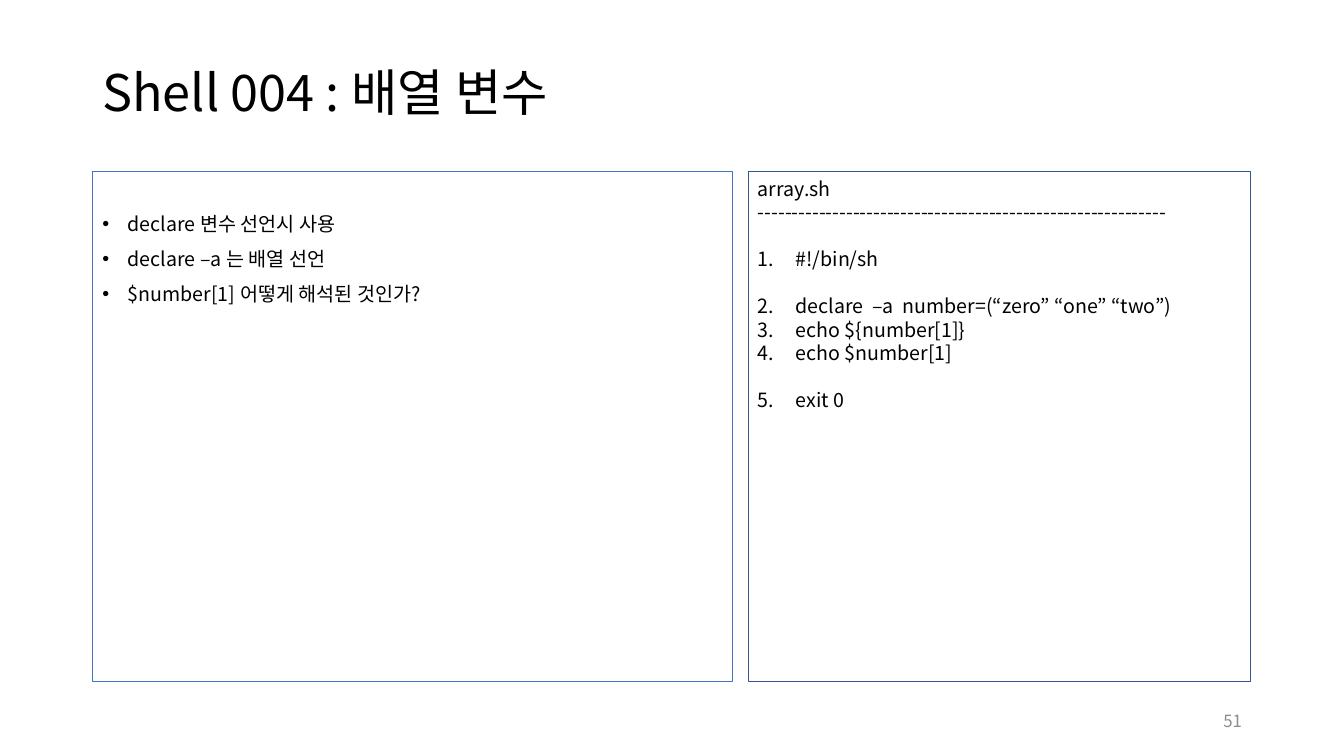
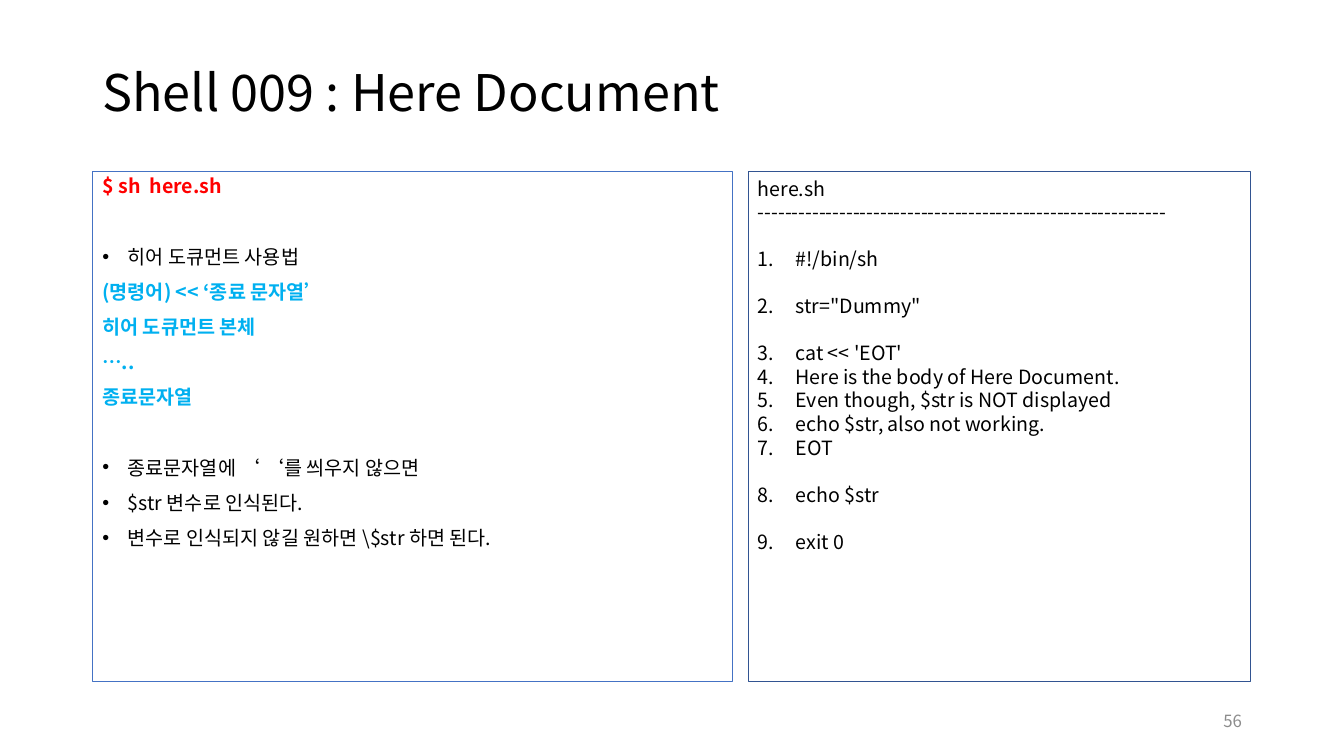
from dataclasses import dataclass
from enum import Enum

from lxml.etree import SubElement
from pptx import Presentation
from pptx.dml.color import RGBColor
from pptx.enum.shapes import MSO_SHAPE as Preset
from pptx.enum.text import MSO_ANCHOR as Anchor, MSO_AUTO_SIZE as AutoSize, PP_ALIGN as Align
from pptx.oxml.ns import qn
from pptx.util import Cm, Length, Pt

FONT = "Noto Sans CJK KR"
BLACK = RGBColor(0x00, 0x00, 0x00)
RED = RGBColor(0xFF, 0x00, 0x00)
SKY = RGBColor(0x00, 0xB0, 0xF0)
GREY = RGBColor(0x8C, 0x8C, 0x8C)
POINTS_BORDER = RGBColor(0x44, 0x72, 0xC4)
SCRIPT_BORDER = RGBColor(0x32, 0x54, 0x91)

LEFT = Cm(2.33)
PANEL_TOP, PANEL_HEIGHT = Cm(4.32), Cm(12.85)
INSET_TOP = Cm(0.13)
TEXT_SIZE = Pt(14)
TITLE_PITCH, POINT_PITCH, SCRIPT_PITCH = Pt(43), Pt(15.1), Pt(16.8)
POINT_GAP = Pt(10)
RULE = "-" * 60


class Marker(Enum):
    """Kind of mark in front of a line."""

    NONE = "buNone"
    BULLET = "buChar"
    NUMBER = "buAutoNum"


MARKER_ATTRIBUTES = {
    Marker.NONE: {},
    Marker.BULLET: {"char": "•"},
    Marker.NUMBER: {"type": "arabicPeriod"},
}
MARKER_INDENTS = {Marker.NONE: Cm(0), Marker.BULLET: Cm(0.64), Marker.NUMBER: Cm(0.95)}


@dataclass(frozen=True)
class Line:
    """One line of text; apart leaves one line free above it."""

    text: str
    marker: Marker = Marker.BULLET
    apart: bool = False
    color: RGBColor = BLACK
    bold: bool = False


@dataclass(frozen=True)
class Lesson:
    """Content of one slide; each command block is set apart from the one before."""

    title: str
    number: int
    points: list[Line]
    script: str
    blocks: list[list[str]]
    points_inset: Length = INSET_TOP


def syntax(text: str) -> Line:
    """Return a highlighted line of the syntax pattern."""
    return Line(text, Marker.NONE, color=SKY, bold=True)


LESSONS = [
    Lesson(
        "Shell 004 : 배열 변수",
        51,
        [
            Line("declare 변수 선언시 사용"),
            Line("declare –a 는 배열 선언"),
            Line("$number[1] 어떻게 해석된 것인가?"),
        ],
        "array.sh",
        [
            ["#!/bin/sh"],
            ["declare  –a  number=(“zero” “one” “two”)", "echo ${number[1]}", "echo $number[1]"],
            ["exit 0"],
        ],
        points_inset=Cm(1.08),
    ),
    Lesson(
        "Shell 009 : Here Document",
        56,
        [
            Line("$ sh  here.sh", Marker.NONE, color=RED, bold=True),
            Line("히어 도큐먼트 사용법", apart=True),
            syntax("(명령어) << ‘종료 문자열’"),
            syntax("히어 도큐먼트 본체"),
            syntax("….."),
            syntax("종료문자열"),
            Line("종료문자열에 ‘ ‘를 씌우지 않으면", apart=True),
            Line("$str 변수로 인식된다."),
            Line("변수로 인식되지 않길 원하면 \\$str 하면 된다."),
        ],
        "here.sh",
        [
            ["#!/bin/sh"],
            ['str="Dummy"'],
            [
                "cat << 'EOT'",
                "Here is the body of Here Document.",
                "Even though, $str is NOT displayed",
                "echo $str, also not working.",
                "EOT",
            ],
            ["echo $str"],
            ["exit 0"],
        ],
    ),
]


def place(shape, left: Length, top: Length, width: Length, height: Length) -> None:
    """Move and size a shape."""
    shape.left, shape.top, shape.width, shape.height = left, top, width, height


def prepare_frame(frame, anchor: Anchor, inset_top: Length = INSET_TOP) -> None:
    """Give a text frame its anchor, insets and wrapping."""
    frame.word_wrap = True
    frame.auto_size = AutoSize.NONE
    frame.vertical_anchor = anchor
    frame.margin_left = frame.margin_right = Cm(0.25)
    frame.margin_top, frame.margin_bottom = inset_top, INSET_TOP


def add_text(paragraph, text: str, size: Length, color: RGBColor, bold: bool = False) -> None:
    """Add one formatted run to a paragraph."""
    run = paragraph.add_run()
    run.text = text
    run.font.size, run.font.bold = size, bold
    run.font.color.rgb = color
    run.font.name = FONT
    SubElement(run._r.get_or_add_rPr(), qn("a:ea"), typeface=FONT)


def add_lines(frame, lines: list[Line], pitch: Length, gap: Length) -> None:
    """Write lines at a fixed pitch with a gap before each but the first."""
    for index, line in enumerate(lines):
        paragraph = frame.add_paragraph() if index else frame.paragraphs[0]
        properties = paragraph._p.get_or_add_pPr()
        indent = MARKER_INDENTS[line.marker]
        properties.set("marL", str(indent))
        properties.set("indent", str(-indent))
        SubElement(properties, qn(f"a:{line.marker.value}"), MARKER_ATTRIBUTES[line.marker])
        paragraph.alignment = Align.LEFT
        paragraph.line_spacing = pitch
        blank = pitch + gap if line.apart else 0
        paragraph.space_before = Length(gap + blank) if index else Pt(0)
        add_text(paragraph, line.text, TEXT_SIZE, line.color, line.bold)


def fill_title(title, text: str) -> None:
    """Place and write the slide title."""
    place(title, LEFT, Cm(1.02), Cm(29.21), Cm(2.56))
    prepare_frame(title.text_frame, Anchor.MIDDLE)
    paragraph = title.text_frame.paragraphs[0]
    paragraph.alignment = Align.LEFT
    paragraph.line_spacing = TITLE_PITCH
    add_text(paragraph, text, Pt(36), BLACK)


def fill_points(body, lesson: Lesson) -> None:
    """Place and write the framed explanation."""
    place(body, LEFT, PANEL_TOP, Cm(16.13), PANEL_HEIGHT)
    body.line.color.rgb, body.line.width = POINTS_BORDER, Pt(0.75)
    prepare_frame(body.text_frame, Anchor.TOP, lesson.points_inset)
    add_lines(body.text_frame, lesson.points, POINT_PITCH, POINT_GAP)


def add_script(slide, lesson: Lesson) -> None:
    """Draw the panel with the numbered script."""
    panel = slide.shapes.add_shape(
        Preset.RECTANGLE, Cm(18.85), PANEL_TOP, Cm(12.67), PANEL_HEIGHT
    )
    panel.shadow.inherit = False
    panel.fill.background()
    panel.line.color.rgb, panel.line.width = SCRIPT_BORDER, Pt(0.25)
    prepare_frame(panel.text_frame, Anchor.TOP)
    heading = [Line(lesson.script, Marker.NONE), Line(RULE, Marker.NONE)]
    commands = [
        Line(command, Marker.NUMBER, apart=position == 0)
        for block in lesson.blocks
        for position, command in enumerate(block)
    ]
    add_lines(panel.text_frame, heading + commands, SCRIPT_PITCH, Pt(0))


def add_page_number(slide, number: int) -> None:
    """Write the page number at the lower right."""
    footer = slide.shapes.add_textbox(Cm(23.93), Cm(17.65), Cm(7.62), Cm(1.02))
    prepare_frame(footer.text_frame, Anchor.MIDDLE)
    paragraph = footer.text_frame.paragraphs[0]
    paragraph.alignment = Align.RIGHT
    add_text(paragraph, str(number), Pt(12), GREY)


def add_lesson(deck, lesson: Lesson) -> None:
    """Add one complete lesson slide."""
    slide = deck.slides.add_slide(deck.slide_layouts[1])
    fill_title(slide.shapes.title, lesson.title)
    fill_points(slide.placeholders[1], lesson)
    add_page_number(slide, lesson.number)
    add_script(slide, lesson)


def main() -> None:
    """Build and save the deck."""
    deck = Presentation()
    deck.slide_width, deck.slide_height = Cm(33.87), Cm(19.05)
    for lesson in LESSONS:
        add_lesson(deck, lesson)
    deck.save("out.pptx")


if __name__ == "__main__":
    main()
